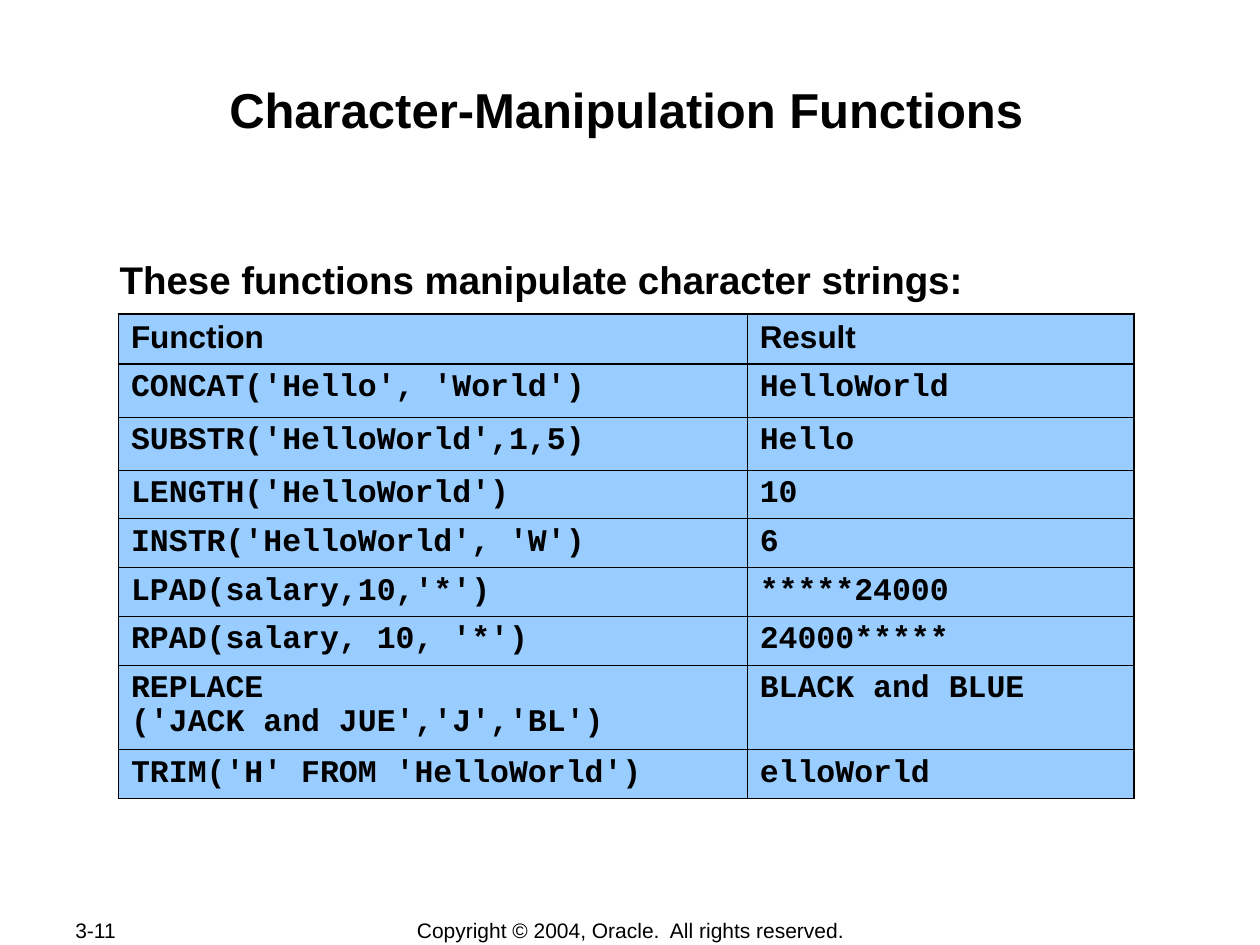
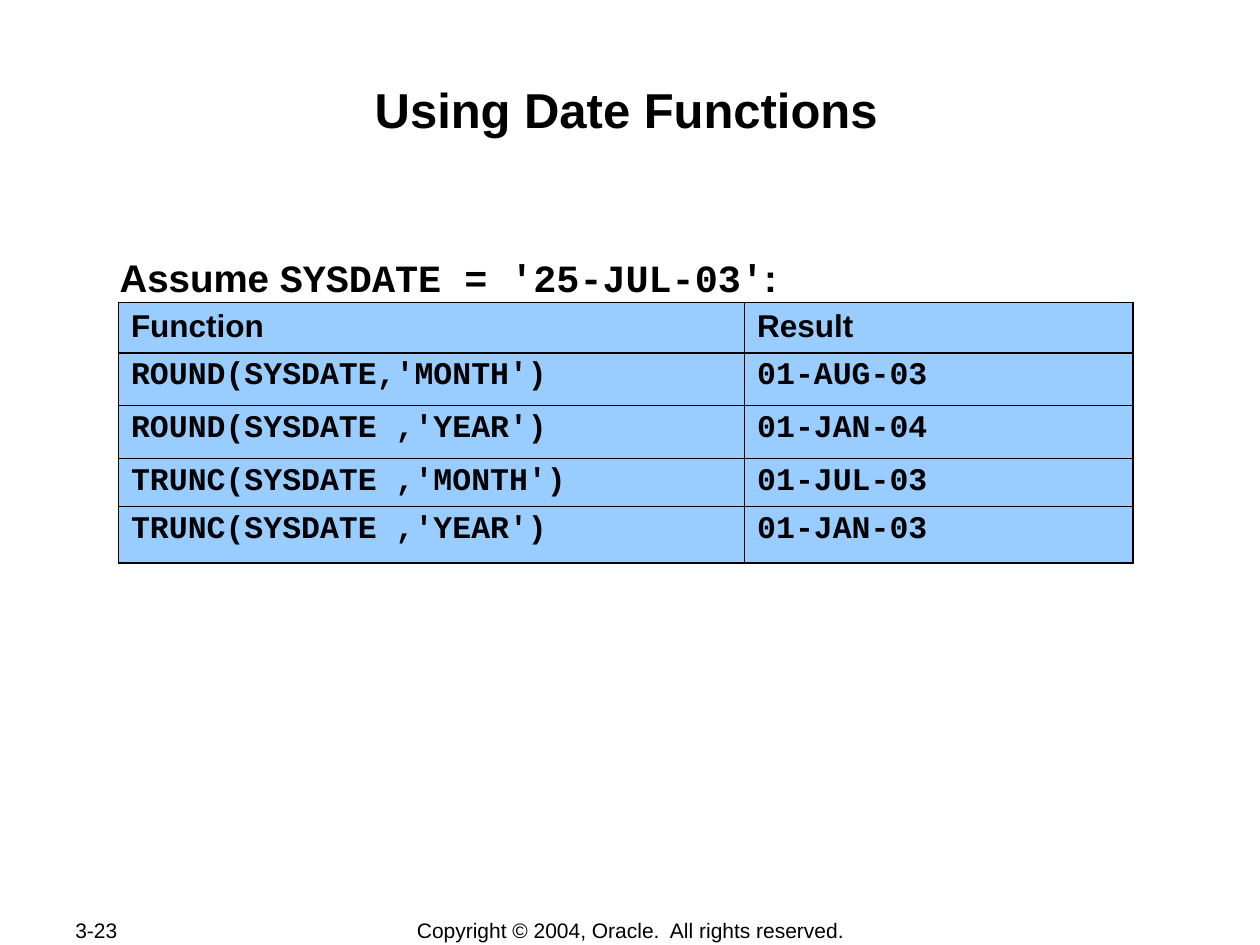
from lxml import etree
from pptx import Presentation
from pptx import util as u
from pptx.dml.color import RGBColor
from pptx.enum import text as t
from pptx.oxml import ns

HUES = {"ink": "000000", "cell": "99CCFF", "page": "FFFFFF"}
SANS, MONO = "Arial", "Courier New"
THIN, THICK = 0.45, 1.08


def hue(name):
    return RGBColor.from_string(HUES[name])


def write(frame, runs, size=18, bold=True, font=SANS, align=t.PP_ALIGN.LEFT, lead=None):
    """Fill a frame with one paragraph; runs is a string or (text, font) pairs."""
    para = frame.paragraphs[0]
    para.alignment = align
    if lead:
        para.line_spacing = lead
    for words, face in [(runs, font)] if isinstance(runs, str) else runs:
        for i, line in enumerate(words.split("\n")):
            if i:
                para.add_line_break()
            run = para.add_run()
            run.text = line
            run.font.name, run.font.size, run.font.bold = face, u.Pt(size), bold
            run.font.color.rgb = hue("ink")


class Deck:
    def __init__(self):
        self.prs = Presentation()
        self.prs.slide_width, self.prs.slide_height = u.Inches(10), u.Inches(7.5)
        self.slide = None

    def page(self, title, num):
        """Start a slide with its title and footers."""
        self.slide = self.prs.slides.add_slide(self.prs.slide_layouts[6])
        back = self.slide.background.fill
        back.solid()
        back.fore_color.rgb = hue("page")
        mid = t.MSO_ANCHOR.MIDDLE
        self.text((0.5, 7.28, 1.06, 0.2), num, (0.1, 0), mid, size=12, bold=False)
        self.text((2.76, 7.28, 4.49, 0.21),
                  "Copyright © 2004, Oracle.  All rights reserved.", (0.1, 0), mid,
                  size=12, bold=False, align=t.PP_ALIGN.CENTER)
        self.text((0.97, 0.58, 8, 0.96), title, (0.01, 0.05),
                  size=28, align=t.PP_ALIGN.CENTER)

    def text(self, at, runs, pad, anchor=t.MSO_ANCHOR.TOP, **style):
        box = self.slide.shapes.add_textbox(*map(u.Inches, at))
        frame = box.text_frame
        frame.word_wrap = True
        frame.vertical_anchor = anchor
        frame.margin_left = frame.margin_right = u.Inches(pad[0])
        frame.margin_top = frame.margin_bottom = u.Inches(pad[1])
        write(frame, runs, **style)

    def intro(self, top, high, runs, **style):
        self.text((0.94, top, 8.06, high), runs, (0.01, 0.04), size=22, **style)

    def edge(self, cell, side, width):
        """Draw one border of a cell."""
        line = etree.SubElement(cell._tc.get_or_add_tcPr(), ns.qn("a:ln" + side),
                                w=str(u.Pt(width)))
        fill = etree.SubElement(line, ns.qn("a:solidFill"))
        etree.SubElement(fill, ns.qn("a:srgbClr"), val=HUES["ink"])

    def table(self, top, cols, rows, data, lead):
        data = [("Function", "Result")] + data
        box = map(u.Inches, (0.94, top, sum(cols), sum(rows)))
        grid = self.slide.shapes.add_table(len(rows), len(cols), *box).table
        grid.first_row = grid.horz_banding = False
        for col, wide in zip(grid.columns, cols):
            col.width = u.Inches(wide)
        for row, high in zip(grid.rows, rows):
            row.height = u.Inches(high)
        for r, words in enumerate(data):
            for c, word in enumerate(words):
                cell = grid.cell(r, c)
                # Thick outer frame and header rule, thin lines inside
                heavy = {"L": c == 0, "R": c == len(cols) - 1,
                         "T": r <= 1, "B": r in (0, len(rows) - 1)}
                for side, thick in heavy.items():
                    self.edge(cell, side, THICK if thick else THIN)
                cell.fill.solid()
                cell.fill.fore_color.rgb = hue("cell")
                write(cell.text_frame, word, font=MONO if r else SANS,
                      lead=lead if r else None)


def main():
    deck = Deck()

    # Character functions
    deck.page("Character-Manipulation Functions", "3-11")
    deck.intro(1.99, 2.03, "These functions manipulate character strings:")
    deck.table(2.49, (4.99, 3.07),
               (0.4, 0.42, 0.42, 0.38, 0.39, 0.38, 0.39, 0.67, 0.38), [
                   ("CONCAT('Hello', 'World')", "HelloWorld"),
                   ("SUBSTR('HelloWorld',1,5)", "Hello"),
                   ("LENGTH('HelloWorld')", "10"),
                   ("INSTR('HelloWorld', 'W')", "6"),
                   ("LPAD(salary,10,'*')", "*****24000"),
                   ("RPAD(salary, 10, '*')", "24000*****"),
                   ("REPLACE\n('JACK and JUE','J','BL')", "BLACK and BLUE"),
                   ("TRIM('H' FROM 'HelloWorld')", "elloWorld"),
               ], lead=0.95)

    # Date functions
    deck.page("Using Date Functions", "3-23")
    deck.intro(2.02, 0.36, [("Assume ", SANS), ("SYSDATE = '25-JUL-03'", MONO),
                            (":", SANS)], lead=0.9)
    deck.table(2.4, (4.97, 3.08), (0.4, 0.42, 0.42, 0.38, 0.45), [
        ("ROUND(SYSDATE,'MONTH')", "01-AUG-03"),
        ("ROUND(SYSDATE ,'YEAR')", "01-JAN-04"),
        ("TRUNC(SYSDATE ,'MONTH')", "01-JUL-03"),
        ("TRUNC(SYSDATE ,'YEAR')", "01-JAN-03"),
    ], lead=0.9)

    deck.prs.save("out.pptx")


if __name__ == "__main__":
    main()
